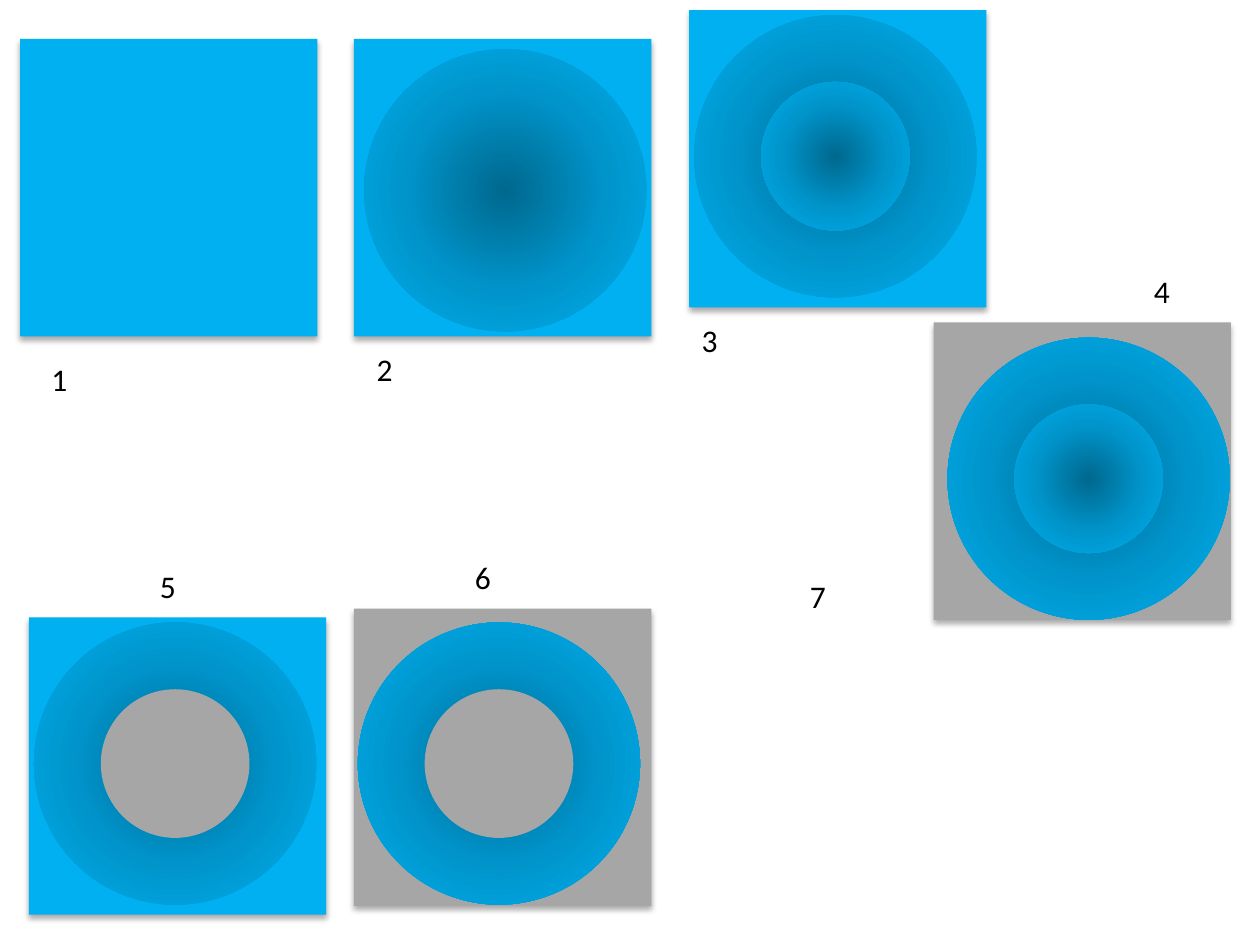
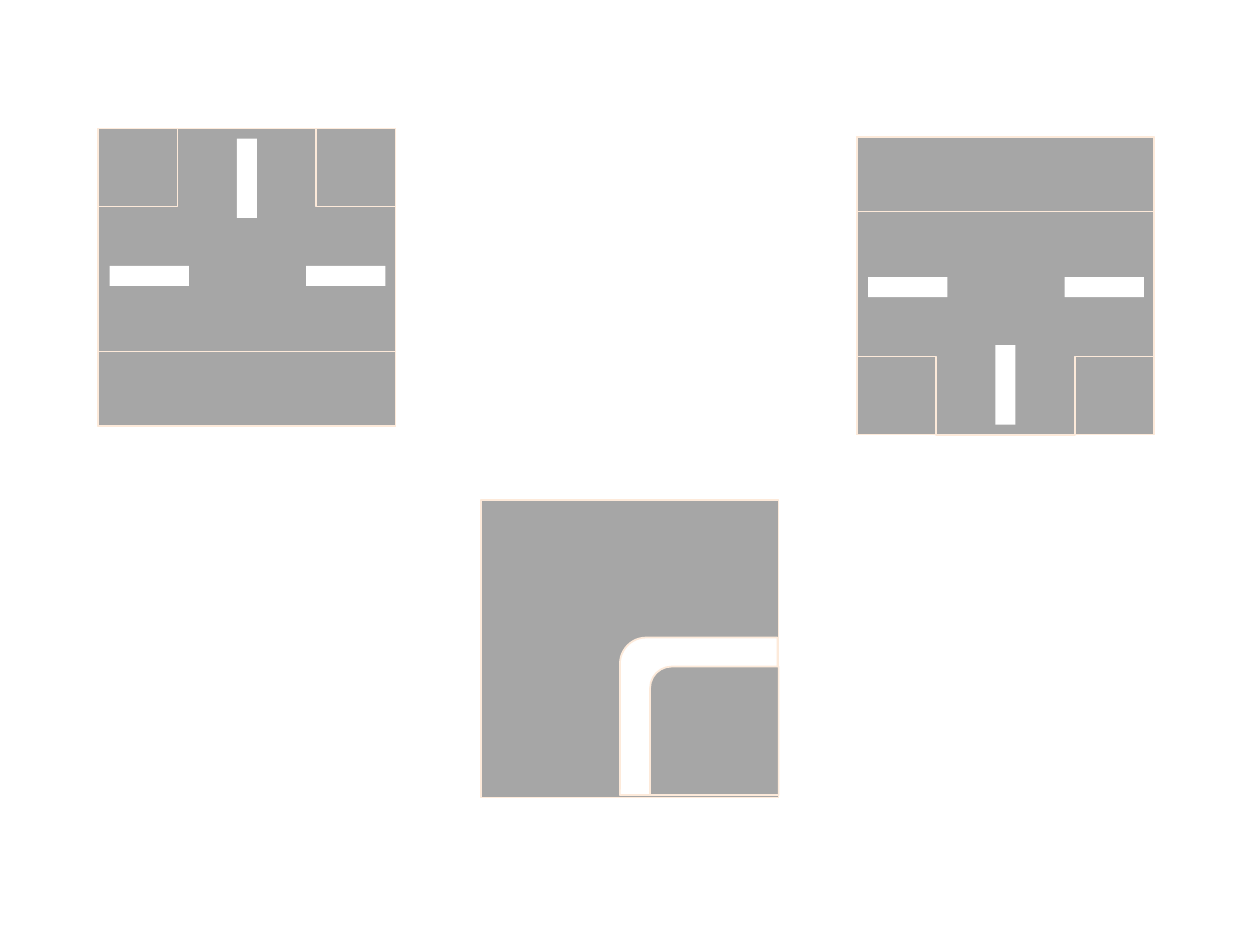
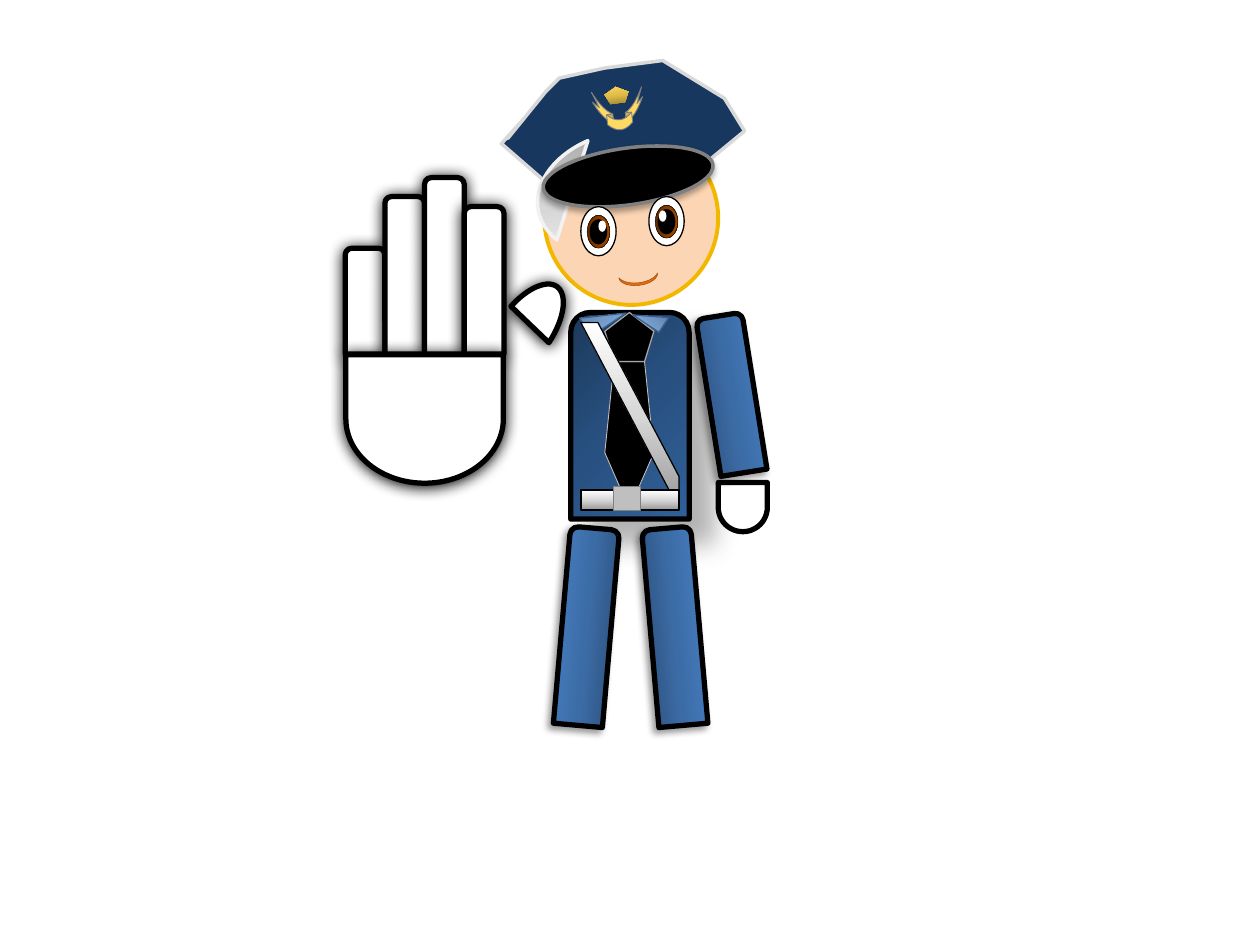
from pptx import Presentation
from pptx.dml.color import RGBColor
from pptx.enum.shapes import MSO_SHAPE as Kind
from pptx.oxml import parse_xml
from pptx.oxml.ns import nsdecls, qn
from pptx.util import Inches, Pt

RGB = RGBColor.from_string
WHITE, BLACK = RGB("FFFFFF"), RGB("000000")
SKY, ROAD, CREAM = RGB("00B0F0"), RGB("A6A6A6"), RGB("FDEADA")
NAVY, SKIN, GOLD = RGB("17375E"), RGB("FCD5B5"), RGB("FFD961")
AMBER, LIP, RUST = RGB("F2B800"), RGB("E46C0A"), RGB("984807")
GREY, SILVER, PALE, MIST = RGB("808080"), RGB("BFBFBF"), RGB("D9D9D9"), RGB("F2F2F2")
STEEL = RGB("3A5F8C")

CENTRE, CORNER = (50, 50, 50, 50), (100, 0, 0, 100)
DEEP = (RGB("00688E"), RGB("0094CA"), SKY)
METAL = (RGB("979797"), RGB("D7D7D7"), WHITE)
BRASS = (RGB("9E8432"), RGB("E1BC48"), GOLD)
CLOTH = (RGB("1C395B"), RGB("285181"), RGB("306099"))
SLEEVE = (RGB("2A4C75"), RGB("3C6CA6"), RGB("4780C5"))
COLLAR = (RGB("506A8A"), RGB("7297C5"), RGB("87B3E9"))
BROWN = (RGB("5E2A00"), RGB("863C00"), RGB("9E4800"))

SOFT = (32, 3.5, 2.2, 90)
CAST = (30, 15, 18, 45)
GLOW = (100, 8.5, 1, 90)
SIDE = (40, 4, 3, 135)

EDGE, INK = (CREAM, 1), (BLACK, 3)
TILE, DISC, CORE = 2.36, 2.24, 1.18


def blend(tones, way):
    """Return a gradient fill of three tones, by angle or by focus box."""
    stops = "".join(
        f'<a:gs pos="{i * 50000}"><a:srgbClr val="{tone}"/></a:gs>'
        for i, tone in enumerate(tones))
    if isinstance(way, tuple):
        sides = " ".join(f'{s}="{v * 1000}"' for s, v in zip("ltrb", way))
        lean = f'<a:path path="circle"><a:fillToRect {sides}/></a:path>'
    else:
        lean = f'<a:lin ang="{way * 60000}" scaled="0"/>'
    return parse_xml(f'<a:gradFill {nsdecls("a")} rotWithShape="1">'
                     f'<a:gsLst>{stops}</a:gsLst>{lean}</a:gradFill>')


def paint(shape, fill=None, line=None, shade=None):
    """Set the fill, outline and shadow of a shape."""
    props = shape.element.spPr
    if isinstance(fill, RGBColor):
        shape.fill.solid()
        shape.fill.fore_color.rgb = fill
    else:
        shape.fill.background()
        if fill:
            props.replace(props.find(qn("a:noFill")), blend(*fill))
    if line:
        shape.line.color.rgb = line[0]
        shape.line.width = Pt(line[1])
    else:
        shape.line.fill.background()
    shape.shadow.inherit = False
    if shade:
        alpha, blur, dist, turn = shade
        props.find(qn("a:effectLst")).append(parse_xml(
            f'<a:outerShdw {nsdecls("a")} blurRad="{Pt(blur)}" dist="{Pt(dist)}" '
            f'dir="{turn * 60000}" rotWithShape="0"><a:srgbClr val="{BLACK}">'
            f'<a:alpha val="{alpha * 1000}"/></a:srgbClr></a:outerShdw>'))


def put(slide, spot, kind, box, fill=None, line=None, shade=None,
        rot=0, flip="", adj=()):
    """Add a preset shape whose box is measured from a spot."""
    x, y, w, h = box
    shape = slide.shapes.add_shape(
        kind, Inches(spot[0] + x), Inches(spot[1] + y), Inches(w), Inches(h))
    shape.rotation = rot
    for i, value in enumerate(adj):
        shape.adjustments[i] = value
    for axis in flip:
        shape.element.spPr.find(qn("a:xfrm")).set("flip" + axis, "1")
    paint(shape, fill, line, shade)


def label(slide, x, y, w, text):
    """Add a step number."""
    frame = slide.shapes.add_textbox(
        Inches(x), Inches(y), Inches(w), Inches(0.4)).text_frame
    frame.word_wrap = True
    run = frame.paragraphs[0].add_run()
    run.text = text
    run.font.size = Pt(18)
    run.font.name = "Calibri"
    run.font.color.rgb = BLACK


def tile(slide, spot, back, shift=None, core=None):
    """Draw a square with an optional disc and core."""
    put(slide, spot, Kind.RECTANGLE, (0, 0, TILE, TILE), back, shade=SOFT)
    if shift:
        dx, dy = shift
        put(slide, spot, Kind.OVAL, (dx, dy, DISC, DISC), (DEEP, CENTRE))
        if core:
            gap = (DISC - CORE) / 2
            put(slide, spot, Kind.OVAL, (dx + gap, dy + gap, CORE, CORE), core)


def rings(slide):
    """Lay out the ring tiles and their numbers."""
    glow = (DEEP, CENTRE)
    for spot, *rest in (
            ((5.47, 0.08), SKY, (0.04, 0.04), glow),
            ((0.16, 0.31), SKY),
            ((2.81, 0.31), SKY, (0.08, 0.08)),
            ((0.23, 4.9), SKY, (0.04, 0.04), ROAD),
            ((2.81, 4.83), ROAD, (0.03, 0.11), ROAD),
            ((7.41, 2.56), ROAD, (0.11, 0.12), glow)):
        tile(slide, spot, *rest)
    spots = ((0.31, 2.81, 0.7), (2.89, 2.73, 0.47), (5.47, 2.5, 0.55),
             (9.06, 2.11, 0.39), (1.17, 4.45, 0.23), (3.67, 4.38, 0.47),
             (6.33, 4.53, 0.23))
    for i, spot in enumerate(spots, 1):
        label(slide, *spot, str(i))


def bend(slide, spot):
    """Draw a road tile with a curved lane."""
    put(slide, spot, Kind.RECTANGLE, (0, 0, TILE, TILE), ROAD, EDGE)
    for x, y, size, fill in ((1.1, 1.09, 1.25, WHITE), (1.34, 1.32, 1.02, ROAD)):
        put(slide, spot, Kind.ROUND_1_RECTANGLE, (x, y, size, size), fill, EDGE,
            flip="H")


def tee(slide, spot, flip=""):
    """Draw a T junction, upside down when flipped."""
    def part(kind, x, y, w, h, fill=None, line=None, adj=()):
        top = TILE - y - h if flip else y
        put(slide, spot, kind, (x, top, w, h), fill, line, flip=flip, adj=adj)

    part(Kind.RECTANGLE, 0, 0, TILE, TILE, ROAD, EDGE)
    part(Kind.DOWN_ARROW_CALLOUT, 0, 0.59, TILE, 1.77, ROAD, EDGE,
         (1, 0.311, 0, 0.65))
    part(Kind.RECTANGLE, 0, 0, TILE, TILE, None, EDGE)
    part(Kind.RECTANGLE, 1.1, 1.65, 0.16, 0.63, WHITE)
    for x in (0.09, 1.65):
        part(Kind.RECTANGLE, x, 1.11, 0.63, 0.16, WHITE)


def roads(slide):
    """Lay out the road tiles."""
    bend(slide, (3.82, 3.97))
    tee(slide, (6.8, 1.09))
    tee(slide, (0.78, 1.02), "V")


def cap(slide, spot):
    """Draw the cap with its badge and visor."""
    points = [(Inches(spot[0] + x), Inches(spot[1] + y)) for x, y in (
        (0.82, 0.06), (1.28, 0), (1.77, 0.3), (1.93, 0.56), (1.59, 0.84),
        (1.2, 1.09), (0.74, 1.15), (0.38, 0.99), (0, 0.66), (0.18, 0.46),
        (0.05, 0.62), (0.35, 0.25), (0.46, 0.14))]
    crown = slide.shapes.build_freeform(*points[0])
    crown.add_line_segments(points[1:])
    paint(crown.convert_to_shape(), NAVY, (PALE, 2))
    put(slide, spot, Kind.REGULAR_PENTAGON, (0.82, 0.21, 0.19, 0.13),
        (BRASS, 270), rot=352.6)
    put(slide, spot, Kind.CHORD, (0.5, 0.34, 1, 1.44), (METAL, 0), (MIST, 2),
        rot=79.7, adj=(40.38, 92.23))
    put(slide, spot, Kind.OVAL, (0.78, 0.24, 0.45, 1.36), BLACK, (GREY, 2),
        SOFT, rot=82.1)
    put(slide, spot, Kind.CURVED_DOWN_RIBBON, (0.73, 0.23, 0.4, 0.32), GOLD,
        (GREY, 0.5), rot=353.7, adj=(0.753, 0.5, 0.125))


def torso(slide, spot):
    """Draw the jacket, tie, collar, sash and belt."""
    put(slide, spot, Kind.ROUND_2_SAME_RECTANGLE, (0, 0, 0.94, 1.64),
        (CLOTH, 45), INK, CAST)
    put(slide, spot, Kind.REGULAR_PENTAGON, (0.27, 0.39, 0.39, 1.17), BLACK,
        (SILVER, 0.5), flip="V")
    put(slide, spot, Kind.REGULAR_PENTAGON, (0.27, 0, 0.39, 0.39), BLACK,
        (ROAD, 0.75))
    put(slide, spot, Kind.RIGHT_TRIANGLE, (0.09, -0.06, 0.33, 0.17),
        (COLLAR, 90), (STEEL, 0.75), rot=326.5)
    put(slide, spot, Kind.RIGHT_TRIANGLE, (0.51, -0.04, 0.25, 0.14),
        (COLLAR, CORNER), (STEEL, 0.75), rot=33.5, flip="H")
    put(slide, spot, Kind.DIAGONAL_STRIPE, (0.08, 0.08, 0.78, 1.48),
        (METAL, 270), (BLACK, 0.75), flip="H", adj=(0.826,))
    put(slide, spot, Kind.RECTANGLE, (0.08, 1.41, 0.78, 0.16), (METAL, 270),
        (BLACK, 1))
    put(slide, spot, Kind.FLOWCHART_PROCESS, (0.34, 1.38, 0.21, 0.19), SILVER,
        (GREY, 0.25))


def eye(slide, spot, glint):
    """Draw one eye with its glint."""
    put(slide, spot, Kind.OVAL, (0, 0, 0.28, 0.39), WHITE, (BLACK, 0.75))
    put(slide, spot, Kind.OVAL, (0.05, 0.07, 0.18, 0.26), (BROWN, 0),
        (BLACK, 0.25))
    put(slide, spot, Kind.OVAL, (0.07, 0.1, 0.14, 0.2), BLACK)
    put(slide, spot, Kind.OVAL, (glint, 0.11, 0.06, 0.09), WHITE)


def face(slide, spot):
    """Draw the eyes and mouth."""
    x, y = spot
    eye(slide, (x + 0.83, y + 0.52), 0.08)
    eye(slide, (x + 0.29, y + 0.6), 0.14)
    put(slide, spot, Kind.MOON, (0.71, 1.03, 0.08, 0.31), LIP, (RUST, 0.25),
        rot=262.9, adj=(0.266,))


def hand(slide, spot):
    """Draw the raised glove."""
    put(slide, spot, Kind.CHORD, (1.21, 0.78, 0.42, 0.89), WHITE, INK, GLOW,
        rot=215.9, adj=(16.2, 100.45))
    wide = 0.315
    for i, top in enumerate((0.56, 0.15, 0, 0.23)):
        put(slide, spot, Kind.ROUND_2_SAME_RECTANGLE,
            (i * wide, top, wide, 1.4 - top), WHITE, INK, GLOW)
    put(slide, spot, Kind.FLOWCHART_DELAY, (0.12, 1.29, 1.02, 1.25), WHITE,
        INK, GLOW, rot=90)


def limbs(slide, spot):
    """Draw the lowered arm and the legs, measured from the torso."""
    put(slide, spot, Kind.FLOWCHART_DELAY, (1.17, 1.35, 0.39, 0.39), WHITE,
        INK, rot=90)
    for box, rot, way in (((1.09, 0.02, 0.37, 1.26), 350.9, 0),
                          ((-0.07, 1.71, 0.39, 1.57), 5, 180),
                          ((0.63, 1.71, 0.39, 1.57), 355, 0)):
        put(slide, spot, Kind.ROUND_2_SAME_RECTANGLE, box, (SLEEVE, way), INK,
            SIDE, rot=rot)


def guard(slide):
    """Put the traffic officer together."""
    head, chest = (4.32, 1.04), (4.53, 2.48)
    put(slide, head, Kind.OVAL, (0, 0, 1.38, 1.38), SKIN, (AMBER, 2.25))
    cap(slide, (3.98, 0.48))
    torso(slide, chest)
    face(slide, head)
    hand(slide, (2.74, 1.41))
    limbs(slide, chest)


def main():
    """Build and save the deck."""
    deck = Presentation()
    deck.slide_width, deck.slide_height = Inches(10), Inches(7.5)
    for draw in (rings, roads, guard):
        draw(deck.slides.add_slide(deck.slide_layouts[6]))
    deck.save("out.pptx")


if __name__ == "__main__":
    main()
